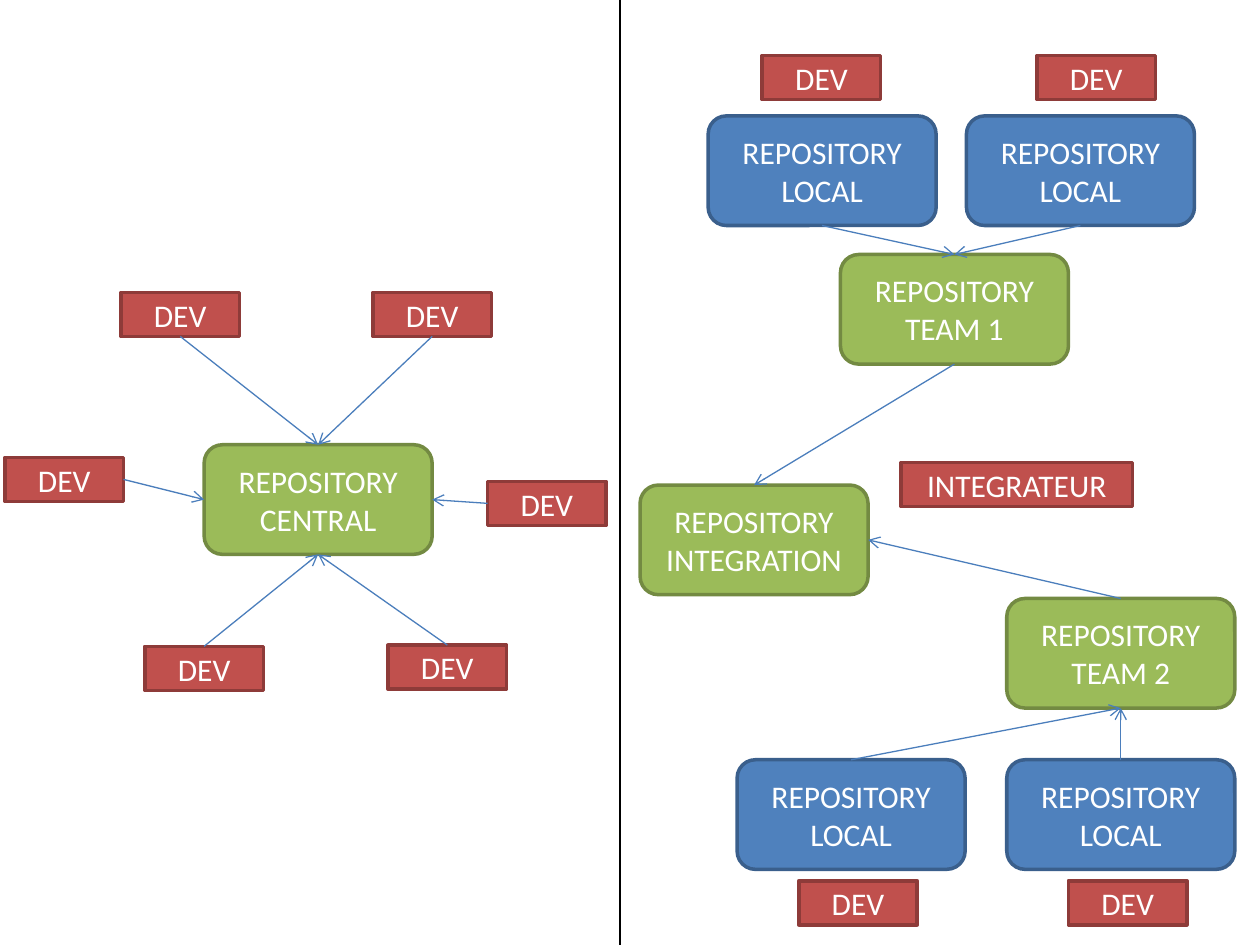
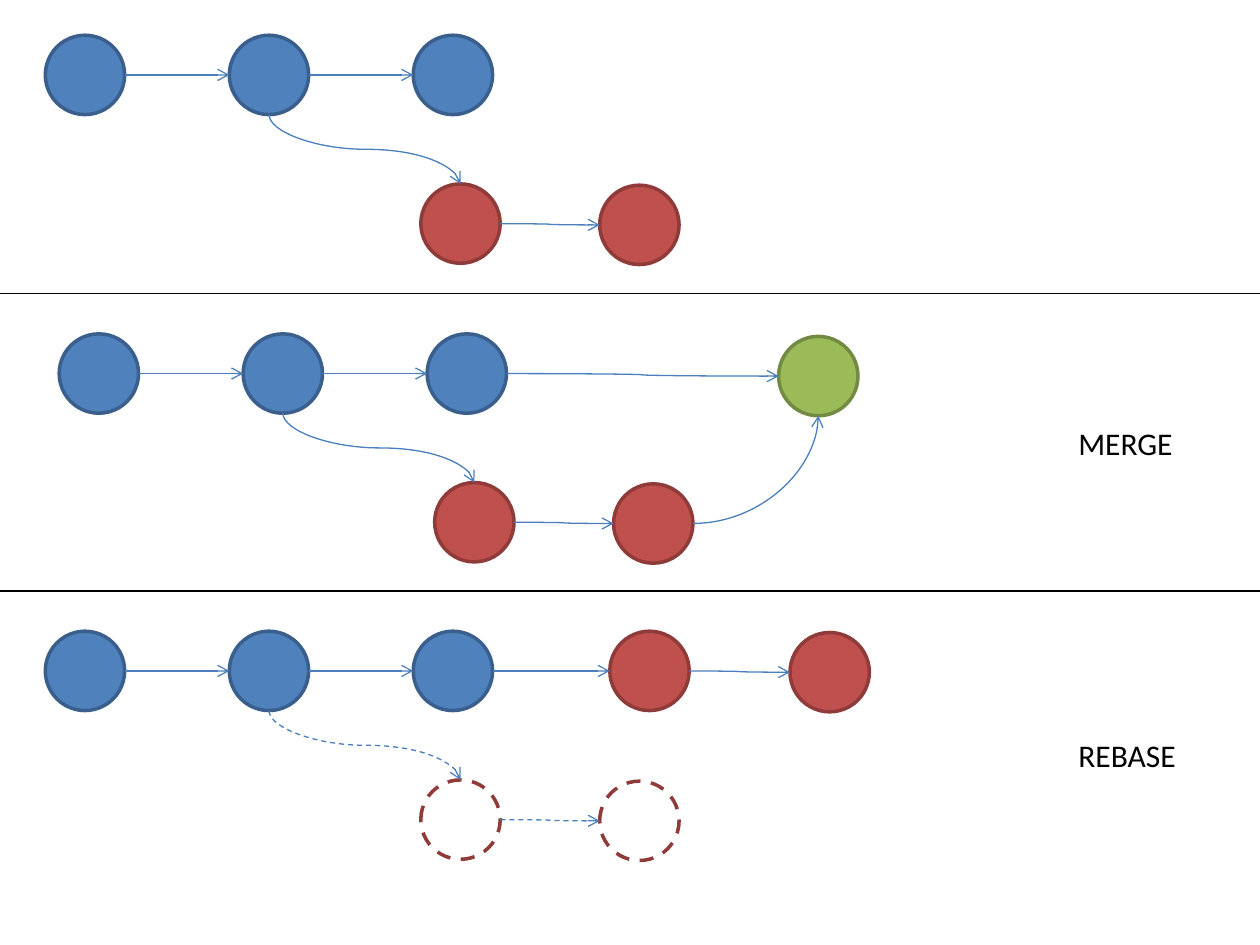
import lxml.etree
import pptx
import pptx.dml.color
import pptx.enum.dml
import pptx.enum.shapes
import pptx.enum.text
import pptx.oxml.ns
import pptx.util

PX = 9144  # EMU in one px, 100 px to the inch
WIDTH, HEIGHT = 1000, 750
FONT = "Calibri"
COLOURS = {
    "blue": "4F81BD", "blue line": "3A5F8C",
    "green": "9BBB59", "green line": "738A42",
    "red": "C0504D", "red line": "8E3B39",
    "arrow": "4B7EBC", "black": "000000", "white": "FFFFFF",
}
TOP, LEFT, BOTTOM, RIGHT = range(4)
CIRCLE = 63
SHAPE = pptx.enum.shapes.MSO_SHAPE
CONNECTOR = pptx.enum.shapes.MSO_CONNECTOR
ALIGN = pptx.enum.text.PP_ALIGN
DASH = pptx.enum.dml.MSO_LINE.DASH


def colour(name):
    return pptx.dml.color.RGBColor.from_string(COLOURS[name])


def write(frame, text, size=18, ink="white", align=ALIGN.CENTER):
    """Put each line of text in a paragraph of its own."""
    for number, line in enumerate(text.split("\n")):
        para = frame.add_paragraph() if number else frame.paragraphs[0]
        para.alignment = align
        span = para.add_run()
        span.text = line
        span.font.name = FONT
        span.font.size = pptx.util.Pt(size)
        span.font.color.rgb = colour(ink)


class Painter:
    def __init__(self, deck):
        self.deck = deck
        self.page = None

    def new_page(self):
        self.page = self.deck.slides.add_slide(self.deck.slide_layouts[6])

    def shape(self, kind, left, top, width, height, tone, dashed=False):
        box = self.page.shapes.add_shape(
            kind, left * PX, top * PX, width * PX, height * PX)
        box.shadow.inherit = False
        box.line.color.rgb = colour(tone + " line")
        box.line.width = pptx.util.Pt(2)
        if dashed:
            box.fill.background()
            box.line.dash_style = DASH
        else:
            box.fill.solid()
            box.fill.fore_color.rgb = colour(tone)
        return box

    def repository(self, left, top, text, tone="green"):
        box = self.shape(SHAPE.ROUNDED_RECTANGLE, left, top, 181, 87, tone)
        box.text_frame.word_wrap = True
        write(box.text_frame, text)
        return box

    def person(self, left, top, text="DEV", width=94):
        box = self.shape(SHAPE.RECTANGLE, left, top, width, 35, "red")
        write(box.text_frame, text)
        return box

    def circle(self, left, top, tone, dashed=False):
        return self.shape(SHAPE.OVAL, left, top, CIRCLE, CIRCLE, tone, dashed)

    def label(self, left, top, width, text):
        box = self.page.shapes.add_textbox(
            left * PX, top * PX, width * PX, 40 * PX)
        box.text_frame.word_wrap = False
        write(box.text_frame, text, ink="black", align=ALIGN.LEFT)

    def style_line(self, line, ink="arrow", dashed=False):
        line.line.color.rgb = colour(ink)
        line.line.width = pptx.util.Pt(0.75)
        if dashed:
            line.line.dash_style = DASH
        if ink == "arrow":
            lxml.etree.SubElement(line.line._get_or_add_ln(),
                                  pptx.oxml.ns.qn("a:tailEnd"), type="arrow")
        lxml.etree.SubElement(line._element.spPr, pptx.oxml.ns.qn("a:effectLst"))

    def divider(self, x1, y1, x2, y2):
        line = self.page.shapes.add_connector(
            CONNECTOR.STRAIGHT, x1 * PX, y1 * PX, x2 * PX, y2 * PX)
        self.style_line(line, ink="black")

    def arrow(self, start, start_side, end, end_side):
        line = self.page.shapes.add_connector(CONNECTOR.STRAIGHT, 0, 0, 0, 0)
        line.begin_connect(start, start_side)
        line.end_connect(end, end_side)
        self.style_line(line)

    def chain(self, circles, dashed=False):
        """Join each circle's right side to the next one's left side."""
        for start, end in zip(circles, circles[1:]):
            half = CIRCLE * PX // 2
            line = self.page.shapes.add_connector(
                CONNECTOR.CURVE, start.left + start.width, start.top + half,
                end.left, end.top + half)
            self.style_line(line, dashed=dashed)

    def branch_curve(self, start, end, dashed=False):
        """S-curve from the bottom of start to the top of end."""
        across = end.left - start.left
        down = end.top - start.top - start.height
        left = (start.left + end.left + start.width - down) // 2
        top = (start.top + start.height + end.top - across) // 2
        # The curve is laid out sideways, then mirrored and turned
        line = self.page.shapes.add_connector(
            CONNECTOR.CURVE, left, top, left + down, top + across)
        frame = line._element.spPr.find(pptx.oxml.ns.qn("a:xfrm"))
        frame.set("rot", str(270 * 60000))
        frame.set("flipH", "1")
        self.style_line(line, dashed=dashed)

    def merge_curve(self, start, end):
        """Quarter turn from the right of start up to the bottom of end."""
        half = CIRCLE * PX // 2
        line = self.page.shapes.add_connector(
            CONNECTOR.CURVE, start.left + start.width, start.top + half,
            end.left + half, end.top + end.height)
        shape_form = line._element.spPr.find(pptx.oxml.ns.qn("a:prstGeom"))
        shape_form.set("prst", "curvedConnector2")
        self.style_line(line)

    def history(self, left, top, dashed=False):
        """Three commits on the main line and a branch of two."""
        main = [self.circle(left + 146 * step, top, "blue") for step in range(3)]
        branch = [self.circle(left + 298 + 142 * step, top + 118 + step, "red", dashed)
                  for step in range(2)]
        self.chain(main)
        self.branch_curve(main[1], branch[0], dashed)
        self.chain(branch, dashed)
        return main, branch


def draw_workflows(painter):
    painter.new_page()
    painter.divider(492, 0, 492, HEIGHT)

    # Centralised workflow: developers around one repository
    central = painter.repository(162, 353, "REPOSITORY CENTRAL")
    for left, top, side, target_side in (
            (96, 232, BOTTOM, TOP), (296, 232, BOTTOM, TOP),
            (115, 513, TOP, BOTTOM), (308, 512, TOP, BOTTOM),
            (4, 363, RIGHT, LEFT), (387, 382, LEFT, RIGHT)):
        painter.arrow(painter.person(left, top), side, central, target_side)

    # Integration workflow: teams feeding the integrator
    integration = painter.repository(508, 385, "REPOSITORY\nINTEGRATION")
    painter.person(715, 367, "INTEGRATEUR", width=184)
    team_1 = painter.repository(667, 202, "REPOSITORY\nTEAM 1")
    team_2 = painter.repository(799, 475, "REPOSITORY\nTEAM 2")
    painter.arrow(team_1, BOTTOM, integration, TOP)
    painter.arrow(team_2, TOP, integration, RIGHT)

    # Each team's local repositories with their developers
    for team, top, dev_top, side, team_side, places in (
            (team_1, 92, 44, BOTTOM, TOP, ((562, 605), (767, 823))),
            (team_2, 603, 699, TOP, BOTTOM, ((585, 634), (799, 848)))):
        for left, dev_left in places:
            local = painter.repository(left, top, "REPOSITORY\nLOCAL", "blue")
            painter.person(dev_left, dev_top)
            painter.arrow(local, side, team, team_side)


def draw_merge_and_rebase(painter):
    painter.new_page()
    for height in (233, 469):
        painter.divider(0, height, WIDTH, height)

    # Starting point
    painter.history(36, 28)

    # Merge: both lines meet in a new commit
    main, branch = painter.history(47, 265)
    merged = painter.circle(618, 267, "green")
    painter.chain([main[-1], merged])
    painter.merge_curve(branch[-1], merged)
    painter.label(846, 332, 96, "MERGE")

    # Rebase: the branch is replayed at the end of the main line
    main, branch = painter.history(36, 501, dashed=True)
    replayed = [painter.circle(484, 501, "red"), painter.circle(627, 502, "red")]
    painter.chain([main[-1]] + replayed)
    painter.label(846, 579, 98, "REBASE")


def main():
    deck = pptx.Presentation()
    deck.slide_width, deck.slide_height = WIDTH * PX, HEIGHT * PX
    painter = Painter(deck)
    draw_workflows(painter)
    draw_merge_and_rebase(painter)
    deck.save("out.pptx")


if __name__ == "__main__":
    main()
